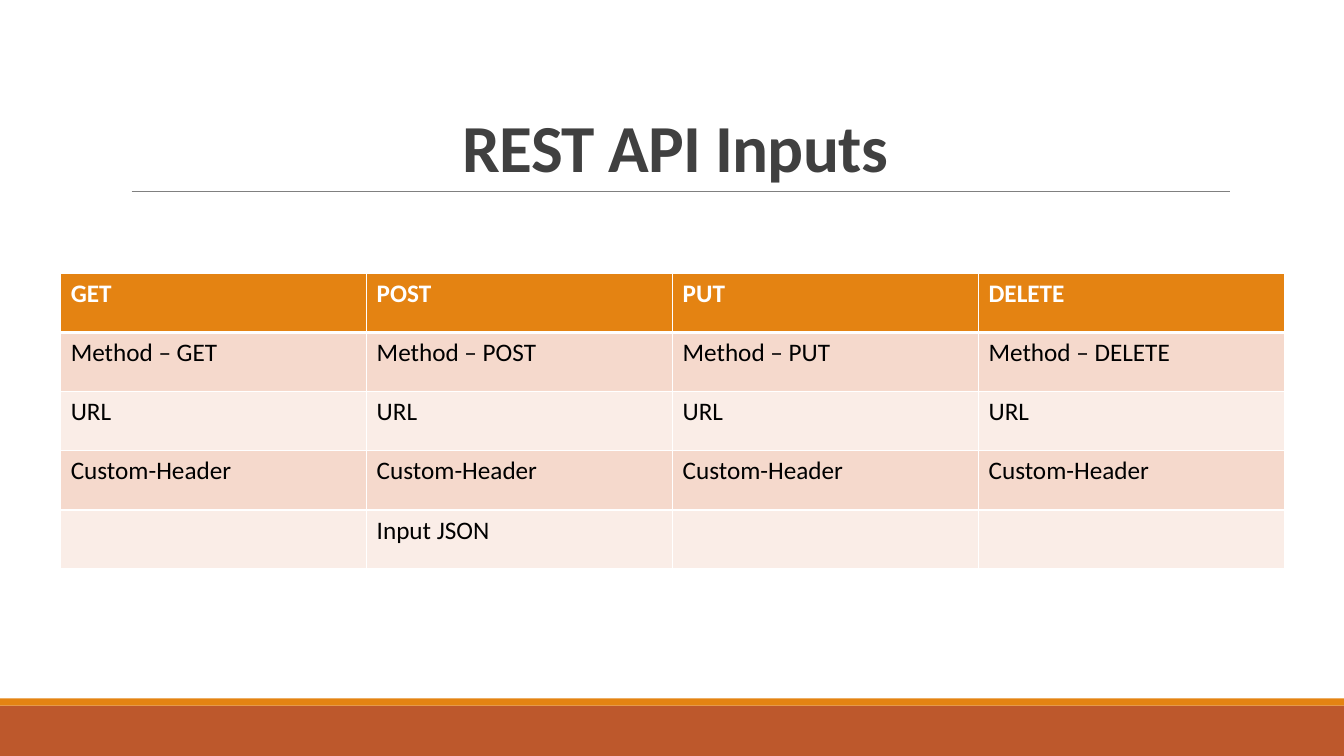
from lxml import etree
from pptx import Presentation
from pptx.dml.color import RGBColor
from pptx.enum.shapes import MSO_CONNECTOR, MSO_SHAPE
from pptx.enum.text import MSO_ANCHOR, PP_ALIGN
from pptx.oxml.ns import qn
from pptx.util import Cm, Pt

RECTANGLE = MSO_SHAPE.RECTANGLE
STRAIGHT = MSO_CONNECTOR.STRAIGHT
BOTTOM = MSO_ANCHOR.BOTTOM
CENTER = PP_ALIGN.CENTER

FONT = "Calibri"
ORANGE = "E48312"
WHITE = "FFFFFF"
BANDS = ["FAEDE7", "F5D9CC"]


def color(hex_code):
    return RGBColor.from_string(hex_code)


def add_border(cell, position, tag, width):
    line = etree.Element(qn(tag), w=str(Pt(width)))
    fill = etree.SubElement(line, qn("a:solidFill"))
    etree.SubElement(fill, qn("a:srgbClr"), val=WHITE)
    cell._tc.get_or_add_tcPr().insert(position, line)


presentation = Presentation()
presentation.slide_width = Cm(33.87)
presentation.slide_height = Cm(19.05)
slide = presentation.slides.add_slide(presentation.slide_layouts[6])

for top, height, fill in [(17.78, 1.27, "BD582C"), (17.6, 0.18, ORANGE)]:
    band = slide.shapes.add_shape(RECTANGLE, 0, Cm(top), Cm(33.87), Cm(height))
    band.shadow.inherit = False
    band.fill.solid()
    band.fill.fore_color.rgb = color(fill)
    band.line.fill.background()

rule = slide.shapes.add_connector(STRAIGHT, Cm(3.32), Cm(4.82), Cm(31), Cm(4.82))
rule.line.color.rgb = color("808080")
rule.line.width = Pt(0.5)
etree.SubElement(rule._element.spPr, qn("a:effectLst"))

title = slide.shapes.add_textbox(Cm(3.05), Cm(0.8), Cm(27.94), Cm(4.03))
title.text_frame.word_wrap = True
title.text_frame.vertical_anchor = BOTTOM
title.text_frame.text = "REST API Inputs"
paragraph = title.text_frame.paragraphs[0]
paragraph.alignment = CENTER
paragraph.line_spacing = 0.85
run = paragraph.runs[0]
run.font.name = FONT
run.font.size = Pt(48)
run.font.bold = True
run.font.color.rgb = color("404040")
run._r.get_or_add_rPr().set("spc", "-50")

methods = ["GET", "POST", "PUT", "DELETE"]
rows = [
    methods,
    [f"Method – {method}" for method in methods],
    ["URL"] * 4,
    ["Custom-Header"] * 4,
    ["", "Input JSON", "", ""],
]
table = slide.shapes.add_table(
    len(rows), len(methods), Cm(1.53), Cm(6.89), Cm(30.84), Cm(7.45)
).table
for column in table.columns:
    column.width = Cm(7.71)

for row_index, texts in enumerate(rows):
    table.rows[row_index].height = Cm(1.49)
    is_header = row_index == 0
    borders = [
        ("a:lnL", 1),
        ("a:lnR", 1),
        ("a:lnT", 3 if row_index == 1 else 1),
        ("a:lnB", 3 if is_header else 1),
    ]
    for column_index, text in enumerate(texts):
        cell = table.cell(row_index, column_index)
        cell.fill.solid()
        cell.fill.fore_color.rgb = color(ORANGE if is_header else BANDS[row_index % 2])
        for position, (tag, width) in enumerate(borders):
            add_border(cell, position, tag, width)
        cell.text_frame.text = text
        font = cell.text_frame.paragraphs[0].font
        font.size = Pt(18)
        for run in cell.text_frame.paragraphs[0].runs:
            run.font.name = FONT
            run.font.size = Pt(18)
            run.font.bold = is_header
            run.font.color.rgb = color(WHITE if is_header else "000000")

presentation.save("out.pptx")
